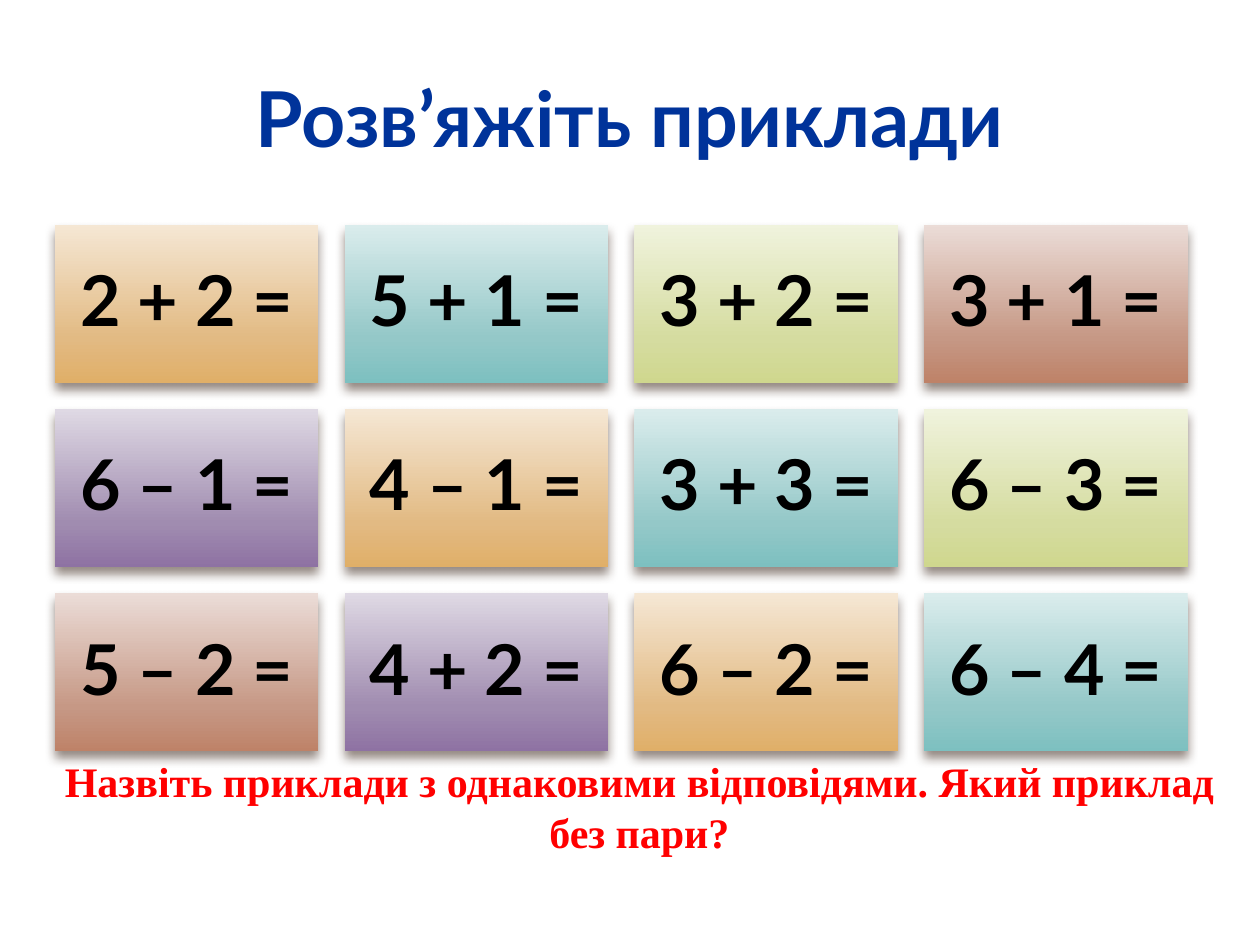
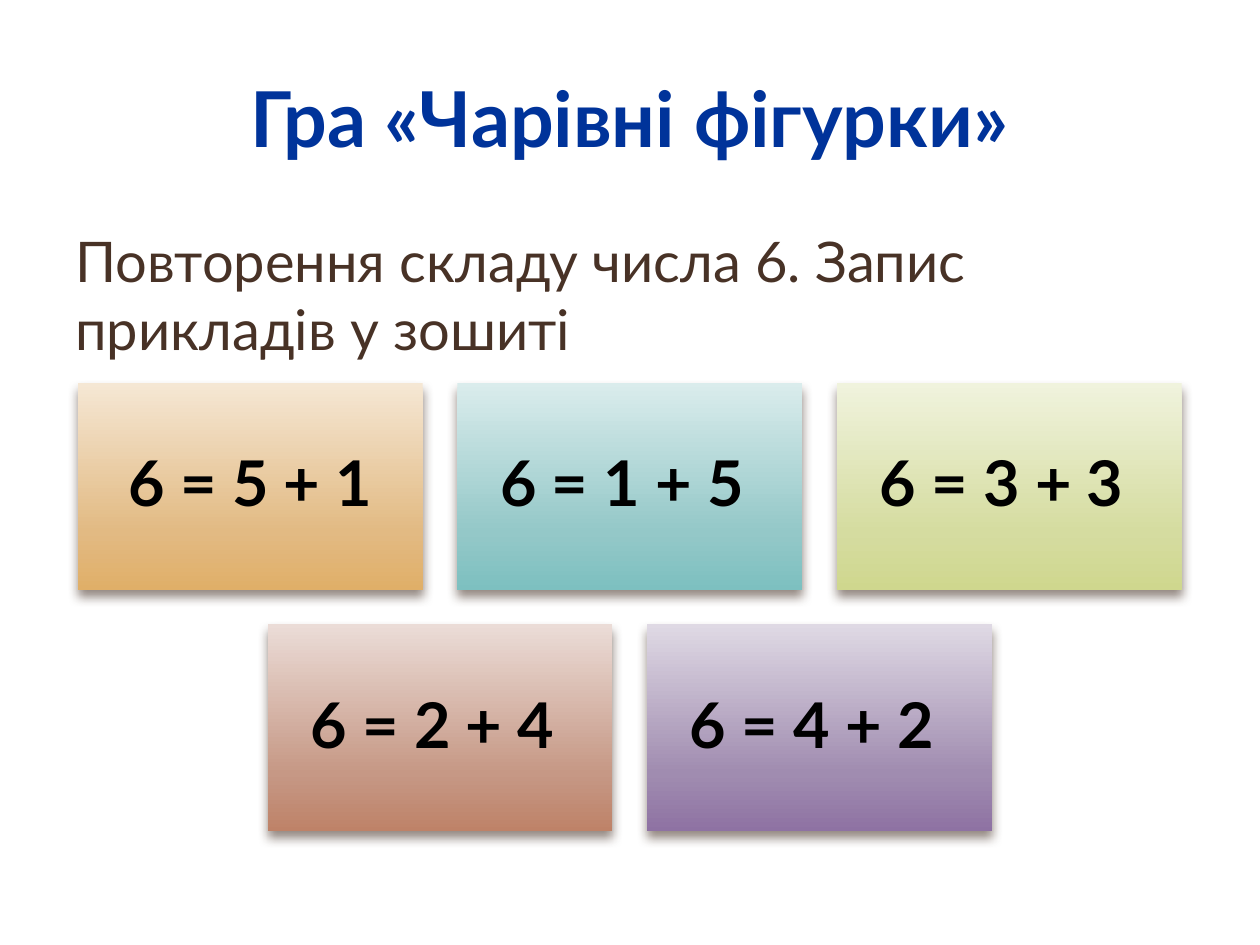
import copy

import lxml.etree
import pptx
import pptx.dml.color
import pptx.enum.shapes
import pptx.enum.text
import pptx.oxml.ns
import pptx.util

Cm = pptx.util.Cm
Pt = pptx.util.Pt
qn = pptx.oxml.ns.qn
ALIGN = pptx.enum.text.PP_ALIGN
ANCHOR = pptx.enum.text.MSO_ANCHOR

HEADING_FONT = "Lato"
TITLE_COLOUR = "00339A"
TITLE_OUTLINE = "F2F2F2"
BODY_COLOUR = "483226"
SHADOW_COLOUR = "4E3B30"
GRADIENT_POSITIONS = (0, 0.72, 1)
CARD_GRADIENTS = (
    ("F5E7D4", "E2BA83", "E0AF68"),
    ("DAECEC", "94C8C8", "7DC0C0"),
    ("F0F3DD", "D5DCA0", "CFD78E"),
    ("EBDCD7", "C69885", "BE8268"),
    ("DFD9E4", "A08CB0", "8E72A3"),
)
CARD_ASPECT = 0.6
CARD_GAP = 0.1


def colour(hex_string):
    return pptx.dml.color.RGBColor.from_string(hex_string)


def add_element(parent, tag, **attributes):
    values = {name: str(value) for name, value in attributes.items()}
    return lxml.etree.SubElement(parent, qn(tag), values)


def write_text(shape, text, size, hex_string, font_name=HEADING_FONT, bold=True,
               alignment=ALIGN.CENTER, anchor=ANCHOR.TOP):
    text_frame = shape.text_frame
    text_frame.word_wrap = True
    text_frame.vertical_anchor = anchor
    text_frame.text = text
    paragraph = text_frame.paragraphs[0]
    paragraph.alignment = alignment
    font = paragraph.runs[0].font
    font.name = font_name
    font.size = Pt(size)
    font.bold = bold
    font.color.rgb = colour(hex_string)
    return paragraph


def add_titled_slide(presentation, title):
    slide = presentation.slides.add_slide(presentation.slide_layouts[5])
    shape = slide.shapes.title
    shape.left, shape.top = Cm(1.27), Cm(0.76)
    shape.width, shape.height = Cm(22.86), Cm(3.18)
    paragraph = write_text(shape, title, 44, TITLE_COLOUR, anchor=ANCHOR.MIDDLE)
    run_properties = paragraph.runs[0].font._element
    outline = add_element(run_properties, "a:ln", w=Pt(0.15))
    add_element(add_element(outline, "a:solidFill"), "a:srgbClr", val=TITLE_OUTLINE)
    run_properties.insert(0, outline)
    return slide


def add_text_block(slide, left, top, width, height, text, size, hex_string, **style):
    shape = slide.shapes.add_textbox(Cm(left), Cm(top), Cm(width), Cm(height))
    write_text(shape, text, size, hex_string, **style)


def fill_with_gradient(shape, hex_strings):
    shape.fill.gradient()
    shape.fill.gradient_angle = 270
    stop_list = shape._element.spPr.find(qn("a:gradFill")).find(qn("a:gsLst"))
    stop_list.append(copy.deepcopy(stop_list[-1]))
    stops = shape.fill.gradient_stops
    for stop, position, hex_string in zip(stops, GRADIENT_POSITIONS, hex_strings):
        stop.position = position
        stop.color.rgb = colour(hex_string)


def add_shadow(shape):
    shape.shadow.inherit = False
    effects = shape._element.spPr.find(qn("a:effectLst"))
    shadow = add_element(effects, "a:outerShdw", blurRad=Pt(6), dist=Pt(4),
                         dir=5400000, rotWithShape=0)
    shadow_colour = add_element(shadow, "a:srgbClr", val=SHADOW_COLOUR)
    add_element(shadow_colour, "a:alpha", val=60000)


def add_card(slide, left, top, width, height, equation, gradient, size, inset):
    card = slide.shapes.add_shape(pptx.enum.shapes.MSO_SHAPE.RECTANGLE,
                                  Cm(left), Cm(top), Cm(width), Cm(height))
    fill_with_gradient(card, gradient)
    card.line.fill.background()
    add_shadow(card)
    text_frame = card.text_frame
    text_frame.margin_left = text_frame.margin_right = Cm(inset)
    text_frame.margin_top = text_frame.margin_bottom = Cm(inset)
    paragraph = write_text(card, equation, size, "000000", anchor=ANCHOR.MIDDLE)
    paragraph.line_spacing = 0.9


def add_card_grid(slide, left, top, width, equations, columns, size, inset):
    card_width = width / (columns + CARD_GAP * (columns - 1))
    card_height = card_width * CARD_ASPECT
    gap = card_width * CARD_GAP
    for index, equation in enumerate(equations):
        row, column = divmod(index, columns)
        cards_in_row = min(columns, len(equations) - row * columns)
        row_indent = (columns - cards_in_row) * (card_width + gap) / 2
        add_card(slide,
                 left + row_indent + column * (card_width + gap),
                 top + row * (card_height + gap),
                 card_width, card_height, equation,
                 CARD_GRADIENTS[index % len(CARD_GRADIENTS)], size, inset)


def build_examples_slide(presentation):
    slide = add_titled_slide(presentation, "Розв’яжіть приклади")
    equations = (
        "2 + 2 =", "5 + 1 =", "3 + 2 =", "3 + 1 =",
        "6 – 1 =", "4 – 1 =", "3 + 3 =", "6 – 3 =",
        "5 – 2 =", "4 + 2 =", "6 – 2 =", "6 – 4 =",
    )
    add_card_grid(slide, 1.11, 4.53, 22.83, equations, columns=4, size=40, inset=0.43)
    add_text_block(slide, 0.89, 15.11, 24, 3.07,
                   "Назвіть приклади з однаковими відповідями. Який приклад без пари?",
                   24, "FF0000", font_name="Times New Roman")


def build_game_slide(presentation):
    slide = add_titled_slide(presentation, "Гра «Чарівні фігурки»")
    add_text_block(slide, 1.27, 4.45, 22.86, 3.28,
                   "Повторення складу числа 6. Запис прикладів у зошиті",
                   32, BODY_COLOUR, bold=False, alignment=ALIGN.LEFT)
    equations = ("6 = 5 + 1", "6 = 1 + 5 ", "6 = 3 + 3 ", "6 = 2 + 4 ", "6 = 4 + 2 ")
    add_card_grid(slide, 1.57, 7.72, 22.25, equations, columns=3, size=36, inset=0.38)


def main():
    presentation = pptx.Presentation()
    presentation.slide_width = Cm(25.4)
    presentation.slide_height = Cm(19.05)
    build_examples_slide(presentation)
    build_game_slide(presentation)
    presentation.save("out.pptx")


if __name__ == "__main__":
    main()
